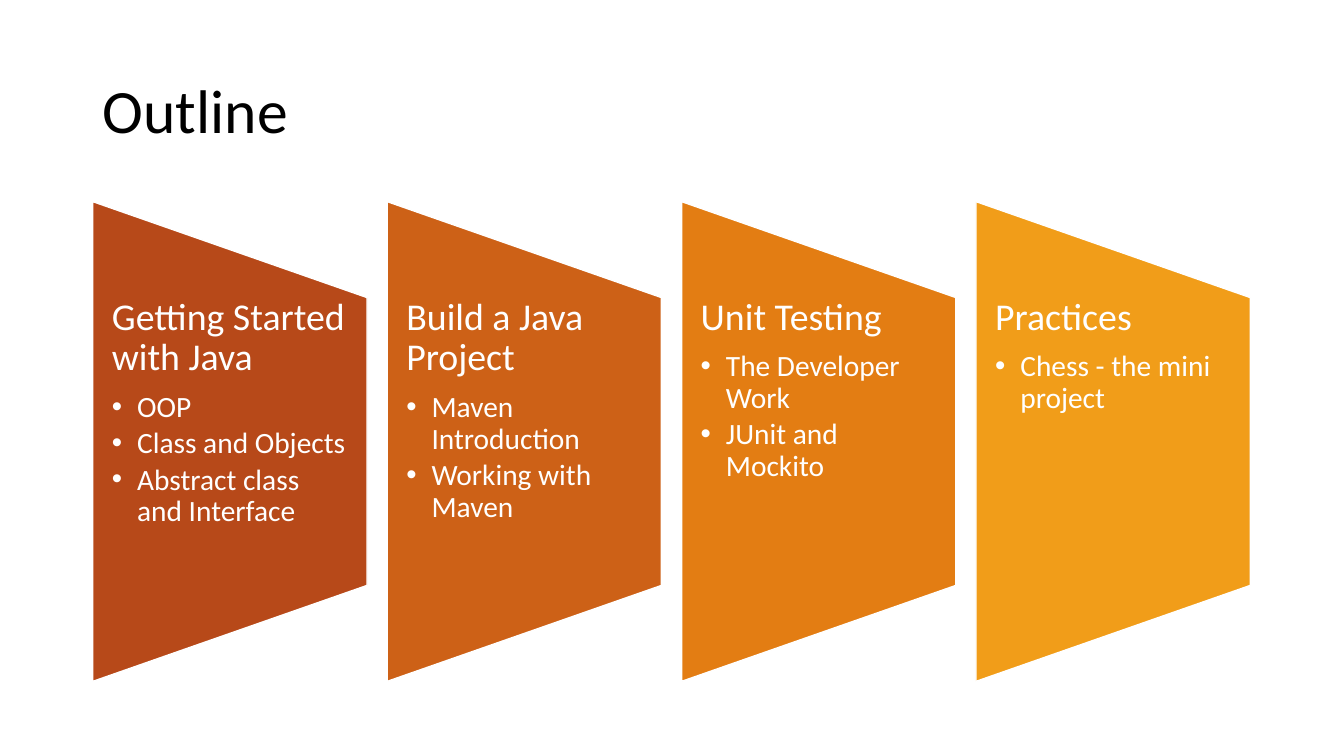
from lxml.etree import SubElement
from pptx import Presentation
from pptx.dml.color import RGBColor
from pptx.enum.shapes import MSO_SHAPE
from pptx.enum.text import MSO_ANCHOR, MSO_AUTO_SIZE, PP_ALIGN
from pptx.oxml.ns import qn
from pptx.util import Inches, Pt

COLORS = {
    "title": "000000",
    "text": "FFFFFF",
    "java": "B74919",
    "project": "CD6117",
    "testing": "E37D13",
    "practices": "F19D19",
}

TOPICS = [
    ("java", "Getting Started with Java",
     ["OOP", "Class and Objects", "Abstract class and Interface"]),
    ("project", "Build a Java Project",
     ["Maven Introduction", "Working with Maven"]),
    ("testing", "Unit Testing", ["The Developer Work", "JUnit and Mockito"]),
    ("practices", "Practices", ["Chess - the mini project"]),
]

# Panel geometry in inches
LEFT, WIDTH, GAP = 0.92, 2.72, 0.2
PANEL_HEIGHT, TEXT_HEIGHT, MIDDLE = 4.76, 2.86, 4.38


class OutlineSlide:
    font_name = "Calibri"
    line_spacing = 0.9

    def __init__(self, page):
        self.page = page

    def color(self, name):
        return RGBColor.from_string(COLORS[name])

    def place(self, box, left, top, width, height):
        box.left, box.top = Inches(left), Inches(top)
        box.width, box.height = Inches(width), Inches(height)

    def paragraph(self, para, text, size, color, after=0, bullet=False):
        para.text = text
        para.alignment = PP_ALIGN.LEFT
        para.line_spacing = self.line_spacing
        para.space_before = Pt(0)
        para.space_after = Pt(size * after)
        para.level = 1 if bullet else 0
        properties = para._p.get_or_add_pPr()
        indent = Inches(0.25) if bullet else 0
        properties.set("marL", str(indent))
        properties.set("indent", str(-indent))
        if bullet:
            SubElement(properties, qn("a:buFont")).set("typeface", "Arial")
            SubElement(properties, qn("a:buChar")).set("char", "•")
        else:
            SubElement(properties, qn("a:buNone"))
        para.font.name = self.font_name
        para.font.size = Pt(size)
        para.font.bold = False
        para.font.color.rgb = self.color(color)

    def title(self, text):
        box = self.page.shapes.title
        self.place(box, LEFT, 0.4, 11.5, 1.45)
        frame = box.text_frame
        frame.auto_size = MSO_AUTO_SIZE.NONE
        frame.vertical_anchor = MSO_ANCHOR.MIDDLE
        self.paragraph(frame.paragraphs[0], text, 44, "title")

    def panel(self, left, color):
        # Placed unrotated around its centre, then turned on its side
        center = left + WIDTH / 2
        shape = self.page.shapes.add_shape(
            MSO_SHAPE.FLOWCHART_MANUAL_OPERATION,
            Inches(center - PANEL_HEIGHT / 2), Inches(MIDDLE - WIDTH / 2),
            Inches(PANEL_HEIGHT), Inches(WIDTH))
        shape.rotation = 270
        shape.shadow.inherit = False
        shape.fill.solid()
        shape.fill.fore_color.rgb = self.color(color)
        shape.line.color.rgb = self.color("text")
        shape.line.width = Pt(1)
        # Keep the panel behind the text placeholders
        self.page.shapes._spTree.insert(2, shape._element)

    def topic(self, box, left, heading, items):
        self.place(box, left, MIDDLE - TEXT_HEIGHT / 2, WIDTH, TEXT_HEIGHT)
        frame = box.text_frame
        frame.word_wrap = True
        frame.auto_size = MSO_AUTO_SIZE.NONE
        frame.vertical_anchor = MSO_ANCHOR.TOP
        frame.margin_left = frame.margin_right = Inches(0.19)
        frame.margin_top = frame.margin_bottom = 0
        self.paragraph(frame.paragraphs[0], heading, 27, "text", after=0.35)
        for item in items:
            self.paragraph(frame.add_paragraph(), item, 21, "text",
                           after=0.15, bullet=True)


def main():
    deck = Presentation()
    deck.slide_width, deck.slide_height = Inches(13.33), Inches(7.5)
    # The comparison layout offers a title and four body placeholders
    page = deck.slides.add_slide(deck.slide_layouts.get_by_name("Comparison"))
    outline = OutlineSlide(page)

    # Title
    outline.title("Outline")

    # One panel with its list per topic
    bodies = [box for box in page.placeholders if box.placeholder_format.idx in range(1, 5)]
    for index, (box, (color, heading, items)) in enumerate(zip(bodies, TOPICS)):
        left = LEFT + index * (WIDTH + GAP)
        outline.panel(left, color)
        outline.topic(box, left, heading, items)

    deck.save("out.pptx")


if __name__ == "__main__":
    main()
